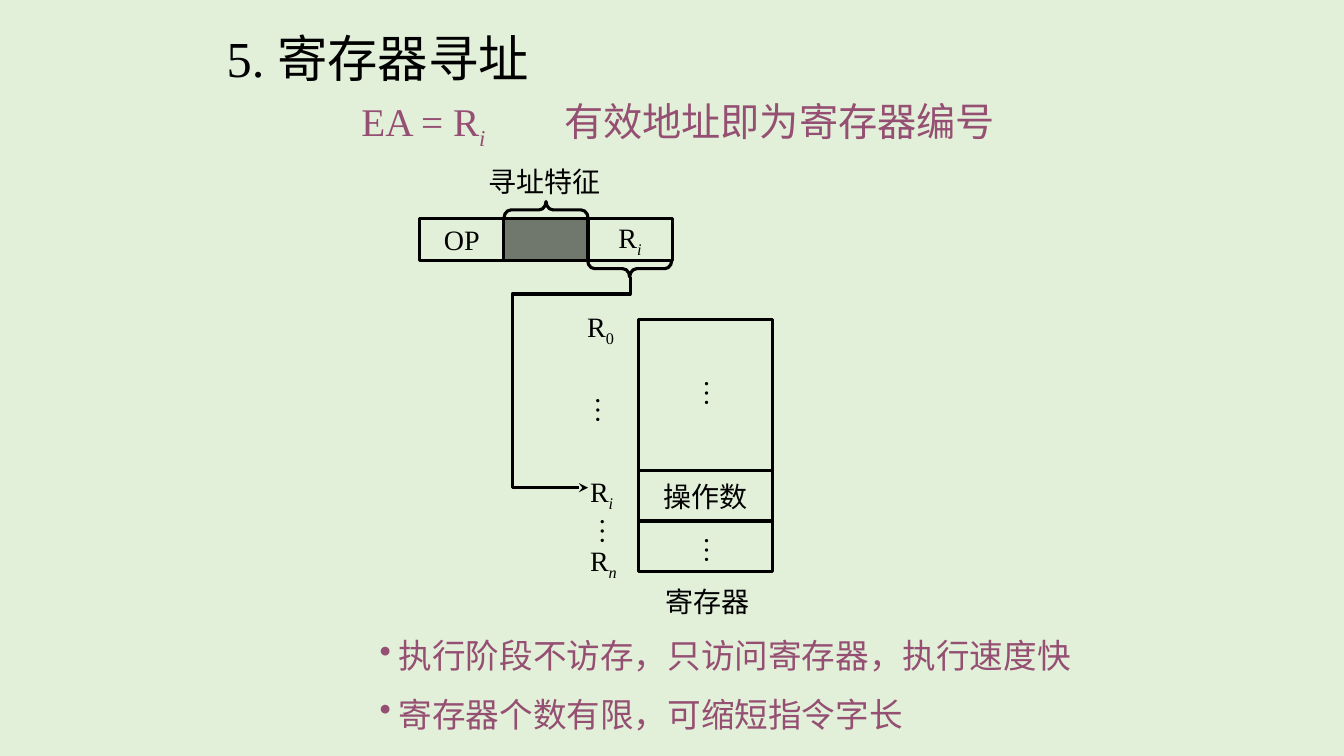
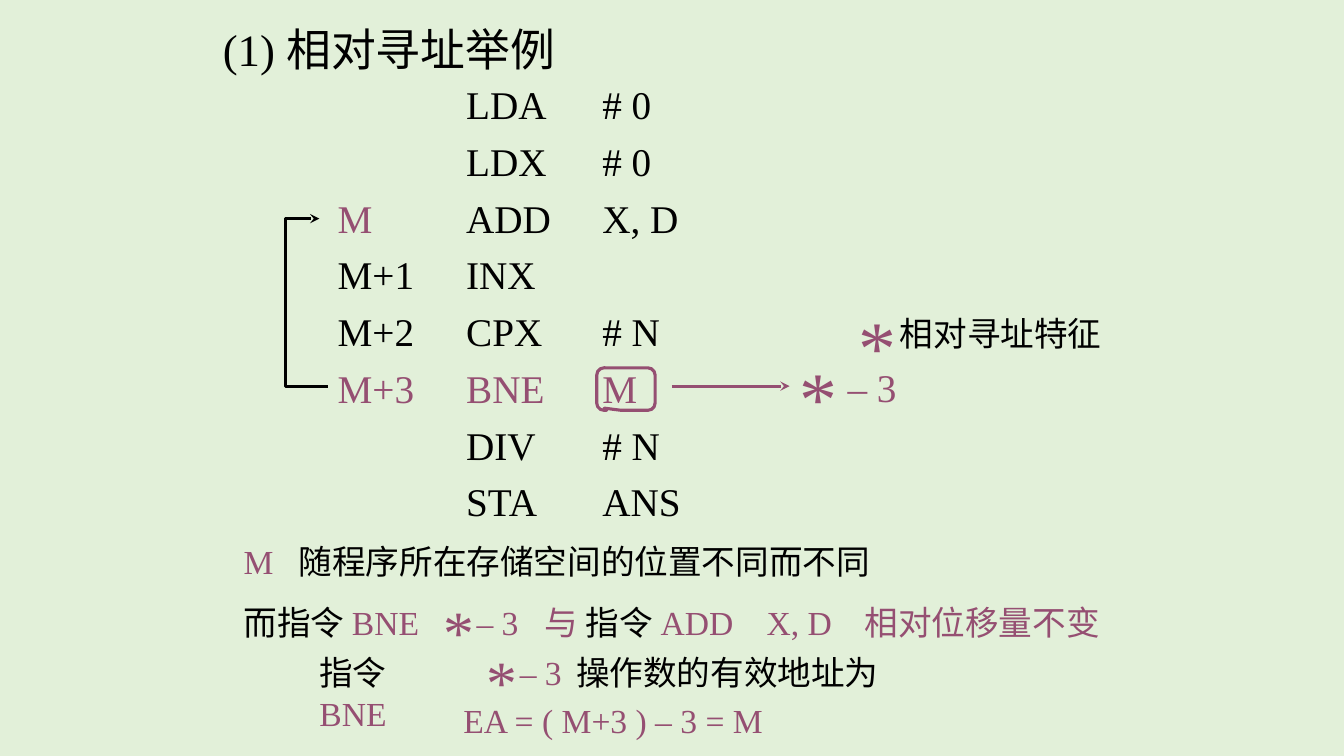
"""Build two slides on register addressing and relative addressing."""
from lxml.etree import SubElement
from pptx import Presentation
from pptx.dml.color import RGBColor
from pptx.enum.shapes import MSO_CONNECTOR, MSO_SHAPE
from pptx.enum.text import MSO_ANCHOR, MSO_AUTO_SIZE, PP_ALIGN
from pptx.oxml.ns import qn
from pptx.util import Cm, Pt

PALE_GREEN = RGBColor(0xE2, 0xF0, 0xD9)
BLACK = RGBColor(0, 0, 0)
PLUM = RGBColor(0x95, 0x4F, 0x72)
FONT = "Times New Roman"


def write(frame, size, runs, align=PP_ALIGN.LEFT, anchor=MSO_ANCHOR.TOP, tabs=()):
    """Fill a frame with one paragraph of (text, colour, *marks) runs."""
    frame.word_wrap = True
    frame.auto_size = MSO_AUTO_SIZE.NONE
    frame.vertical_anchor = anchor
    paragraph = frame.paragraphs[0]
    paragraph.alignment = align
    if tabs:
        stops = SubElement(paragraph._p.get_or_add_pPr(), qn("a:tabLst"))
        for position in tabs:
            SubElement(stops, qn("a:tab"), pos=str(Cm(position)), algn="l")
    for text, colour, *marks in runs:
        run = paragraph.add_run()
        run.text = text
        run.font.name = FONT
        run.font.size = Pt(size)
        run.font.color.rgb = colour
        if "italic" in marks:
            run.font.italic = True
        if "sub" in marks:
            run.font._element.set("baseline", "-25000")
    return paragraph


def outline(shape, colour, arrow=False):
    """Give a shape or line a plain stroke without shadow."""
    shape.line.color.rgb = colour
    shape.line.width = Pt(2.25)
    if arrow:
        SubElement(shape.line._get_or_add_ln(), qn("a:tailEnd"), type="stealth")
    SubElement(shape._element.spPr, qn("a:effectLst"))


deck = Presentation()
deck.slide_width, deck.slide_height = Cm(33.87), Cm(19.05)
background = deck.slide_master.background.fill
background.solid()
background.fore_color.rgb = PALE_GREEN

slides = []
for heading, size, indent, box in [
    ("5. 寄存器寻址", 36, 0, (5.46, 0.56, 9.58, 1.78)),
    ("(1) 相对寻址举例", 32, 0.28, (5.08, 0.42, 9.19, 1.59)),
]:
    slide = deck.slides.add_slide(deck.slide_layouts[5])
    title = slide.shapes.title
    title.left, title.top, title.width, title.height = map(Cm, box)
    paragraph = write(title.text_frame, size, [(heading, BLACK)])
    paragraph._p.get_or_add_pPr().set("indent", str(Cm(indent)))
    slides.append(slide)
register_slide, relative_slide = slides

shapes = register_slide.shapes
R_I = [("R", BLACK), ("i", BLACK, "sub", "italic")]
R_0 = [("R", BLACK), ("0", BLACK, "sub")]
R_N = [("R", BLACK), ("n", BLACK, "sub", "italic")]

FIELD_LEFT, FIELD_WIDTH = 10.58, 2.12
cells = [
    (FIELD_LEFT + i * FIELD_WIDTH, 5.5, FIELD_WIDTH, 1.06, runs)
    for i, runs in enumerate([[("OP", BLACK)], [], R_I])
]
cells += [
    (16.09, 8.05, 3.39, 3.81, []),
    (16.09, 11.86, 3.39, 1.27, [("操作数", BLACK)]),
    (16.09, 13.13, 3.39, 1.27, []),
]
for i, (*box, runs) in enumerate(cells):
    cell = shapes.add_shape(MSO_SHAPE.RECTANGLE, *map(Cm, box))
    cell.fill.background()
    if i == 1:
        cell.fill.solid()
        cell.fill.fore_color.rgb = BLACK
        tint = cell._element.spPr.find(qn("a:solidFill"))[0]
        SubElement(tint, qn("a:alpha"), val="50000")
    outline(cell, BLACK)
    write(cell.text_frame, 20, runs, PP_ALIGN.CENTER, MSO_ANCHOR.MIDDLE)

for left, top, rotation in [(13.55, 4.23, 90), (15.66, 5.71, 270)]:
    brace = shapes.add_shape(
        MSO_SHAPE.LEFT_BRACE, Cm(left), Cm(top), Cm(0.42), Cm(FIELD_WIDTH)
    )
    brace.rotation = rotation
    brace.adjustments[0] = 0.42
    brace.fill.background()
    outline(brace, BLACK)

for left, top, width, size, runs in [
    (8.86, 2.34, 4.5, 28, [("EA = R", PLUM), ("i", PLUM, "sub", "italic")]),
    (13.97, 2.34, 12.27, 28, [("有效地址即为寄存器编号", PLUM)]),
    (12.07, 4.02, 3.6, 20, [("寻址特征", BLACK)]),
    (14.55, 7.68, 1.5, 20, R_0),
    (14.62, 11.82, 1.5, 20, R_I),
    (14.62, 13.57, 1.5, 20, R_N),
    (16.51, 14.61, 3.39, 20, [("寄存器", BLACK)]),
]:
    label = shapes.add_textbox(Cm(left), Cm(top), Cm(width), Cm(size / 20))
    write(label.text_frame, size, runs)

for left, top in [(17.24, 9.32), (17.24, 13.26), (14.5, 9.75), (14.61, 12.8)]:
    ellipsis = shapes.add_textbox(Cm(left), Cm(top), Cm(1.37), Cm(1.3))
    ellipsis.text_frame._txBody.bodyPr.set("vert", "eaVert")
    write(ellipsis.text_frame, 20, [("…", BLACK)])

for top, point in [
    (15.88, "执行阶段不访存，只访问寄存器，执行速度快"),
    (17.35, "寄存器个数有限，可缩短指令字长"),
]:
    bullet = shapes.add_textbox(Cm(9.32), Cm(top), Cm(18.85), Cm(1.27))
    paragraph = write(bullet.text_frame, 24, [(point, PLUM)])
    properties = paragraph._p.get_or_add_pPr()
    properties.set("marL", str(Cm(0.48)))
    properties.set("indent", str(Cm(-0.48)))
    SubElement(properties, qn("a:buChar"), char="•")

for slide, corners in [
    (register_slide,
     [(15.88, 6.99), (15.88, 7.41), (12.91, 7.41), (12.91, 12.29), (14.82, 12.29)]),
    (relative_slide, [(8.26, 9.73), (7.2, 9.73), (7.2, 5.51), (8.05, 5.51)]),
]:
    start, *rest = [(Cm(x), Cm(y)) for x, y in corners]
    builder = slide.shapes.build_freeform(*start)
    builder.add_line_segments(rest, close=False)
    route = builder.convert_to_shape()
    route.fill.background()
    outline(route, BLACK, arrow=True)

shapes = relative_slide.shapes
for i, (address, instruction, colour) in enumerate([
    ("", "LDA\t# 0", BLACK),
    ("", "LDX\t# 0", BLACK),
    ("M", "ADD\tX, D", PLUM),
    ("M+1", "INX", BLACK),
    ("M+2", "CPX\t# N", BLACK),
    ("M+3", "BNE\tM", PLUM),
    ("", "DIV\t# N", BLACK),
    ("", "STA\tANS", BLACK),
]):
    top = Cm(1.9 + i * 1.43)
    if address:
        location = shapes.add_textbox(Cm(8.26), top, Cm(2.9), Cm(1.45))
        write(location.text_frame, 28, [(address, colour)])
    code_colour = PLUM if address == "M+3" else BLACK
    code = shapes.add_textbox(Cm(11.5), top, Cm(7), Cm(1.45))
    write(code.text_frame, 28, [(instruction, code_colour)], tabs=[3.43])

operand_mark = shapes.add_shape(
    MSO_SHAPE.ROUNDED_RECTANGULAR_CALLOUT, Cm(15.04), Cm(9.27), Cm(1.47), Cm(1.07)
)
for i, value in enumerate([-0.37, 0.45, 0.17]):
    operand_mark.adjustments[i] = value
operand_mark.fill.background()
outline(operand_mark, PLUM)

offset_arrow = shapes.add_connector(
    MSO_CONNECTOR.STRAIGHT, Cm(16.93), Cm(9.73), Cm(19.9), Cm(9.73)
)
outline(offset_arrow, PLUM, arrow=True)

for left, top, width, size, runs, tabs in [
    (19.89, 8.69, 1.9, 54, [("*", PLUM)], []),
    (21.11, 9.04, 2.5, 28, [("– 3", PLUM)], []),
    (21.39, 7.42, 2.74, 54, [("*", PLUM)], []),
    (22.43, 7.77, 6.15, 24, [("相对寻址特征", BLACK)], []),
    (5.89, 13.51, 25.22, 24,
     [("M\t", PLUM), ("随程序所在存储空间的位置不同而不同", BLACK)], [1.39]),
    (5.89, 15.04, 25.22, 24,
     [("而指令 ", BLACK), ("BNE\t与 ", PLUM), ("指令 ", BLACK),
      ("ADD\tX, D\t相对位移量不变", PLUM)], [7.59, 13.18, 15.65]),
    (10.92, 14.81, 1.9, 44, [("*", PLUM)], []),
    (11.76, 15.04, 2.5, 24, [("– 3", PLUM)], []),
    (7.8, 16.31, 3.8, 24, [("指令 ", BLACK), ("BNE", PLUM)], []),
    (12.01, 16.08, 1.9, 44, [("*", PLUM)], []),
    (12.85, 16.31, 2.5, 24, [("– 3", PLUM)], []),
    (14.27, 16.31, 9, 24, [("操作数的有效地址为", BLACK)], []),
    (11.43, 17.5, 9, 24, [("EA = ( M+3 ) – 3 = M", PLUM)], []),
]:
    note = shapes.add_textbox(Cm(left), Cm(top), Cm(width), Cm(size / 20))
    write(note.text_frame, size, runs, tabs=tabs)

deck.save("out.pptx")
